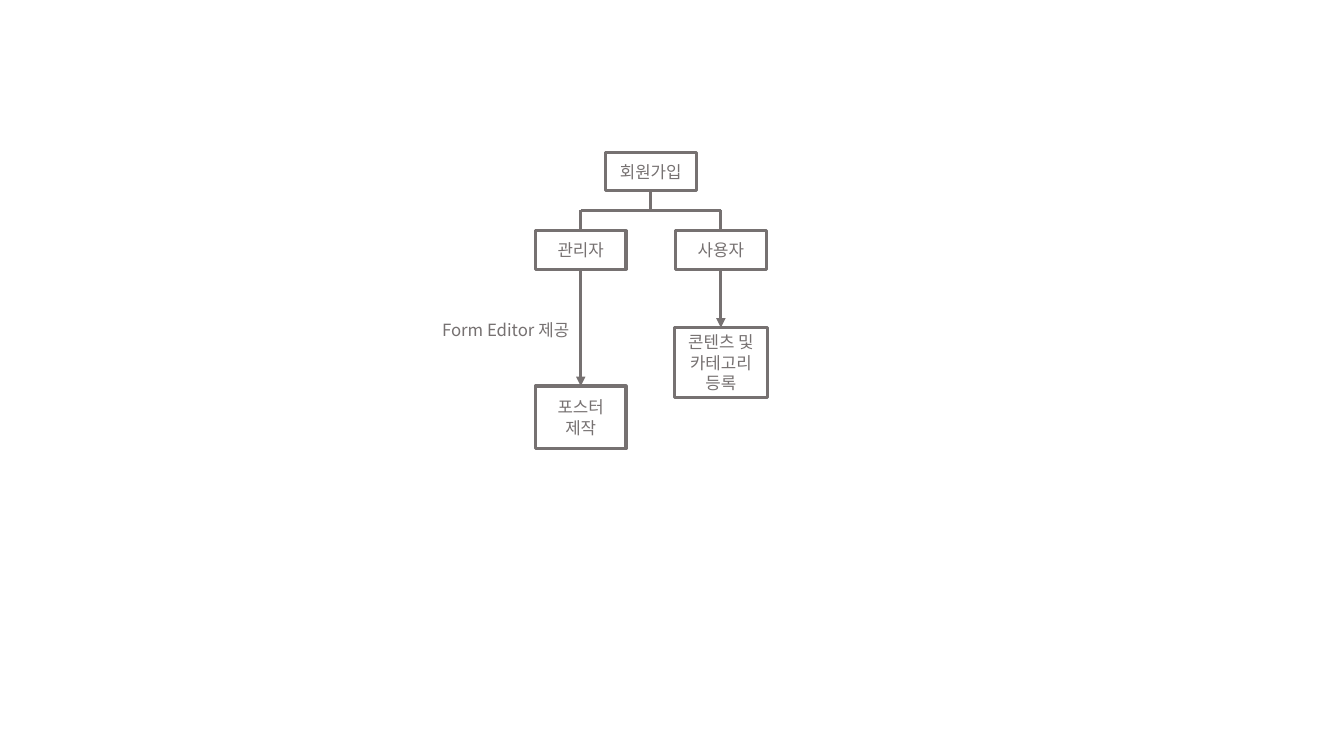
from lxml import etree
from pptx import Presentation
from pptx.dml.color import RGBColor
from pptx.enum.shapes import MSO_CONNECTOR as CONN, MSO_SHAPE as SHAPE
from pptx.enum.text import MSO_ANCHOR as ANCHOR, PP_ALIGN as ALIGN
from pptx.oxml.ns import qn
from pptx.util import Inches, Pt

FONT = "Noto Sans CJK KR"
GRAY = "767171"
TOP, LEFT, BOTTOM, RIGHT = range(4)


def rgb(value):
    return RGBColor.from_string(value)


def set_text(s, text):
    tf = s.text_frame
    tf.word_wrap = True
    tf.vertical_anchor = ANCHOR.MIDDLE
    p = tf.paragraphs[0]
    p.alignment = ALIGN.CENTER
    r = p.add_run()
    r.text = text
    for name, value in {"name": FONT, "size": Pt(12)}.items():
        setattr(r.font, name, value)
    r.font.color.rgb = rgb(GRAY)
    # Hangul takes the East Asian typeface
    etree.SubElement(r.font._element, qn("a:ea"), typeface=FONT)


def style_line(line):
    line.color.rgb = rgb(GRAY)
    line.width = Pt(2.25)


def add_box(slide, center, top, text, width=0.9, height=0.38):
    s = slide.shapes.add_shape(SHAPE.RECTANGLE, Inches(center - width / 2),
                               Inches(top), Inches(width), Inches(height))
    s.shadow.inherit = False
    s.fill.background()
    style_line(s.line)
    set_text(s, text)
    return s


def add_label(slide, left, top, width, height, text):
    s = slide.shapes.add_textbox(Inches(left), Inches(top),
                                 Inches(width), Inches(height))
    set_text(s, text)


def add_line(slide, x1, y1, x2, y2, start=None, end=None, arrow=False):
    c = slide.shapes.add_connector(CONN.STRAIGHT, Inches(x1), Inches(y1),
                                   Inches(x2), Inches(y2))
    style_line(c.line)
    props = c._element.spPr
    if arrow:
        etree.SubElement(props.find(qn("a:ln")), qn("a:tailEnd"), type="triangle")
    etree.SubElement(props, qn("a:effectLst"))
    if start is not None:
        c.begin_connect(start, BOTTOM)
    if end is not None:
        c.end_connect(end, TOP)


def add_sign_up_flow(slide, left, top):
    """Sign-up box that branches to the admin and user columns."""
    admin_x, user_x = left + 1.52, left + 2.91
    root_x = (admin_x + user_x) / 2
    bar_y, role_y, role_bottom = top + 0.58, top + 0.78, top + 1.16

    # Root and the bar it branches from
    root = add_box(slide, root_x, top, "회원가입")
    add_line(slide, root_x, top + 0.38, root_x, bar_y, start=root)
    add_line(slide, admin_x, bar_y, user_x, bar_y)

    # Each role with the task below it
    columns = [
        (admin_x, "관리자", "포스터 제작", 2.32, 0.9, 0.62),
        (user_x, "사용자", "콘텐츠 및 카테고리 등록", 1.74, 0.92, 0.69),
    ]
    for x, role_text, task_text, offset, width, height in columns:
        role = add_box(slide, x, role_y, role_text)
        task = add_box(slide, x, top + offset, task_text, width, height)
        add_line(slide, x, bar_y - 0.01, x, role_y, end=role)
        add_line(slide, x, role_bottom, x, top + offset, role, task, arrow=True)

    # Note beside the admin arrow
    add_label(slide, left, top + 1.57, 1.55, 0.38, "Form Editor 제공")


def main():
    prs = Presentation()
    prs.slide_width, prs.slide_height = Inches(13.33), Inches(7.5)
    slide = prs.slides.add_slide(prs.slide_layouts[6])
    add_sign_up_flow(slide, 4.24, 1.51)
    prs.save("out.pptx")


if __name__ == "__main__":
    main()
